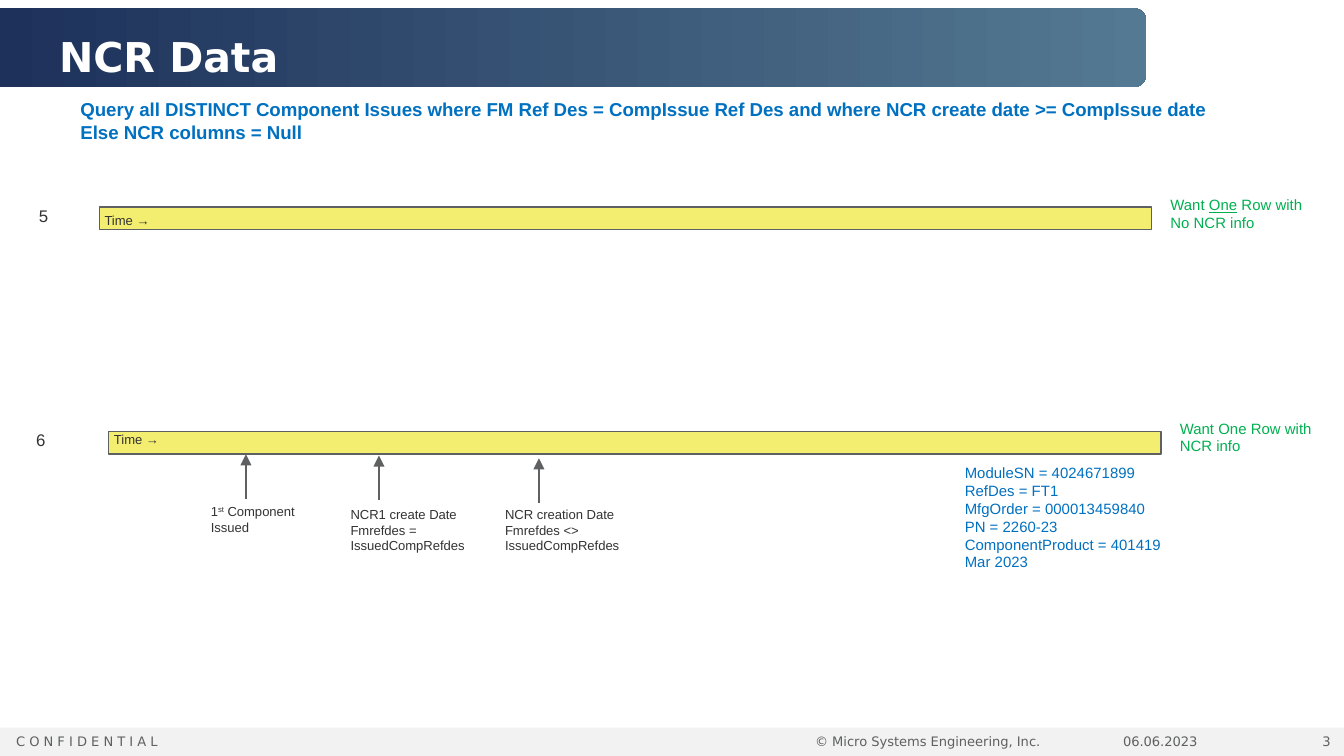
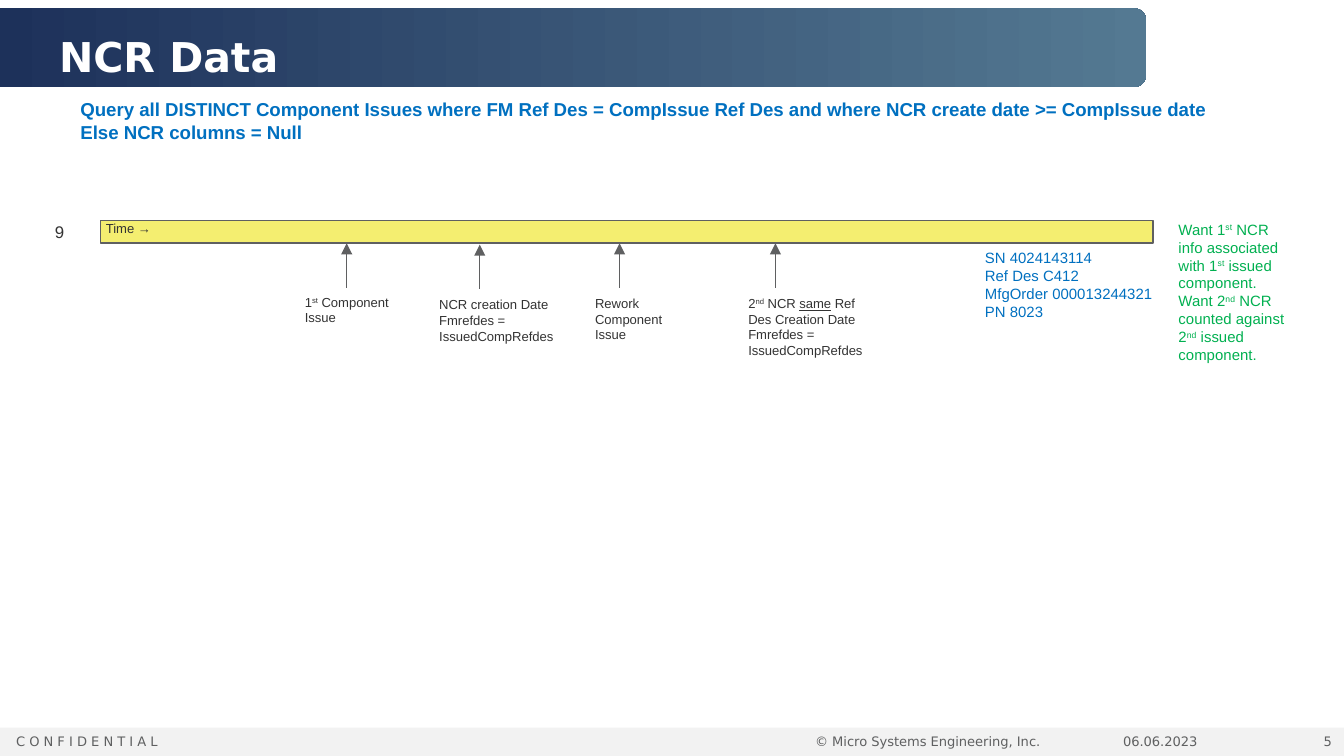
from lxml.etree import SubElement
from pptx import Presentation
from pptx.dml.color import RGBColor
from pptx.enum.shapes import MSO_CONNECTOR, MSO_SHAPE
from pptx.enum.text import MSO_ANCHOR, MSO_AUTO_SIZE, PP_ALIGN
from pptx.oxml.ns import qn
from pptx.util import Inches, Pt

NAVY = RGBColor(0x1D, 0x31, 0x5A)
TEAL = RGBColor(0x54, 0x79, 0x92)
PALE = RGBColor(0xF2, 0xF2, 0xF2)
WHITE = RGBColor(0xFF, 0xFF, 0xFF)
YELLOW = RGBColor(0xF4, 0xEE, 0x70)
GREY = RGBColor(0x5F, 0x60, 0x61)
DARK = RGBColor(0x33, 0x33, 0x33)
GREEN = RGBColor(0x00, 0xB0, 0x50)
BLUE = RGBColor(0x00, 0x70, 0xC0)

STYLES = {
    "title": (WHITE, {"name": "DejaVu Sans", "size": Pt(22), "bold": True}),
    "foot": (GREY, {"name": "DejaVu Sans", "size": Pt(7)}),
    "query": (BLUE, {"name": "Arial", "size": Pt(10), "bold": True}),
    "label": (DARK, {"name": "Arial", "size": Pt(7)}),
    "num": (DARK, {"name": "Arial", "size": Pt(9)}),
    "want": (GREEN, {"name": "Arial", "size": Pt(8)}),
    "facts": (BLUE, {"name": "Arial", "size": Pt(8)}),
}

WIDE = 10
HIGH = WIDE * 9 / 16
BAR_W, BAR_H = 7.83, 0.17
FOOT_H = 0.21
FOOT_Y = HIGH - FOOT_H
BAND_W, BAND_H, BAND_Y = 8.53, 0.59, 0.06
ARROW = 0.33

TITLE = "NCR Data"
QUERY = ("Query all DISTINCT Component Issues where FM Ref Des = CompIssue Ref Des "
         "and where NCR create date >= CompIssue date\nElse NCR columns = Null")
FOOTS = [  # left, width, alignment, text
    (0.03, 5.36, PP_ALIGN.LEFT, "C O N F I D E N T I A L"),
    (5.25, 2.58, PP_ALIGN.RIGHT, "© Micro Systems Engineering, Inc."),
    (7.83, 1.17, PP_ALIGN.RIGHT, "06.06.2023"),
]

# In texts, "|" parts the runs: "^" starts a superscript, "_" an underline.
# Events: arrow x, gap under the bar, label (left, top, width, height), text.
SLIDES = [
    {"page": ("3", 9.49), "lines": [
        {"bar": (0.74, 1.54), "time": 1.53,
         "num": ("5", 0.19, 1.48),
         "want": ((8.61, 1.41, 1.24, 0.37), "Want |_One| Row with No NCR info")},
        {"bar": (0.81, 3.21), "time": 3.16,
         "num": ("6", 0.17, 3.15),
         "want": ((8.68, 3.07, 1.24, 0.37), "Want One Row with NCR info"),
         "facts": ((7.08, 3.4, 1.68, 0.91),
                   "ModuleSN = 4024671899\nRefDes = FT1\nMfgOrder = 000013459840\n"
                   "PN = 2260-23\nComponentProduct = 401419\nMar 2023"),
         "events": [
             (1.83, 0, (1.47, 3.7, 1.09, 0.34), "1|^st| Component Issued"),
             (2.82, 0.01, (2.51, 3.72, 1.42, 0.45),
              "NCR1 create Date Fmrefdes = IssuedCompRefdes"),
             (4.01, 0.03, (3.66, 3.72, 1.11, 0.45),
              "NCR creation Date\nFmrefdes <> IssuedCompRefdes"),
         ]},
    ]},
    {"page": ("5", 9.5), "lines": [
        {"bar": (0.75, 1.64), "time": 1.59,
         "num": ("9", 0.31, 1.6),
         "want": ((8.67, 1.59, 0.99, 1.31),
                  "Want 1|^st| NCR info associated with 1|^st| issued component.\n"
                  "Want 2|^nd| NCR counted against 2|^nd| issued component."),
         "facts": ((7.23, 1.8, 1.47, 0.64),
                   "SN 4024143114\nRef Des C412\nMfgOrder 000013244321\nPN 8023"),
         "events": [
             (2.58, 0, (2.17, 2.14, 1, 0.34), "1|^st| Component Issue"),
             (3.57, 0.01, (3.17, 2.16, 1.06, 0.45),
              "NCR creation Date\nFmrefdes = IssuedCompRefdes"),
             (4.61, 0, (4.33, 2.15, 0.83, 0.45), "Rework Component Issue"),
             (5.77, 0, (5.47, 2.15, 1.17, 0.69),
              "2|^nd| NCR |_same| Ref Des Creation Date\n"
              "Fmrefdes = IssuedCompRefdes"),
         ]},
    ]},
]


def inch(*sizes):
    return [Inches(size) for size in sizes]


def add_runs(para, line, style):
    color, form = STYLES[style]
    for part in line.split("|"):
        run = para.add_run()
        run.text = part.lstrip("^_")
        for key, value in form.items():
            setattr(run.font, key, value)
        run.font.color.rgb = color
        if part.startswith("_"):
            run.font.underline = True
        if part.startswith("^"):
            run._r.get_or_add_rPr().set("baseline", "30000")


def add_text(slide, place, text, style, align=PP_ALIGN.LEFT, **form):
    frame = slide.shapes.add_textbox(*inch(*place)).text_frame
    form = {"word_wrap": True, "auto_size": MSO_AUTO_SIZE.SHAPE_TO_FIT_TEXT, **form}
    for key, value in form.items():
        setattr(frame, key, value)
    for i, line in enumerate(text.split("\n")):
        para = frame.add_paragraph() if i else frame.paragraphs[0]
        para.alignment = align
        add_runs(para, line, style)


def add_fixed(slide, place, text, style, align=PP_ALIGN.LEFT, **form):
    """Add text with tight insets in a box that keeps its size."""
    side, end = inch(0.09, 0.04)
    add_text(slide, place, text, style, align, auto_size=MSO_AUTO_SIZE.NONE,
             margin_left=side, margin_right=side, margin_top=end,
             margin_bottom=end, **form)


def add_block(slide, kind, place, fill=None, line=None):
    block = slide.shapes.add_shape(kind, *inch(*place))
    block.shadow.inherit = False
    if fill is not None:
        block.fill.solid()
        block.fill.fore_color.rgb = fill
    if line is None:
        block.line.fill.background()
    else:
        block.line.color.rgb = line
        block.line.width = Pt(0.75)
    return block


def add_arrow(slide, x, top):
    link = slide.shapes.add_connector(
        MSO_CONNECTOR.STRAIGHT, *inch(x, top + ARROW, x, top))
    link.line.color.rgb = GREY
    link.line.width = Pt(0.75)
    props = link._element.spPr
    SubElement(props.find(qn("a:ln")), qn("a:tailEnd"), type="triangle")
    SubElement(props, qn("a:effectLst"))


def add_frame(slide, page, left):
    """Add the footer, the title band and the query."""
    add_block(slide, MSO_SHAPE.RECTANGLE, (0, FOOT_Y, WIDE, FOOT_H), PALE)
    for x, width, align, text in FOOTS + [(left, 0.5, PP_ALIGN.RIGHT, page)]:
        add_fixed(slide, (x, FOOT_Y, width, 0.19), text, "foot", align)

    # The band stands upright and is turned, so its round end faces right.
    shift = (BAND_W - BAND_H) / 2
    band = add_block(slide, MSO_SHAPE.ROUND_2_SAME_RECTANGLE,
                     (shift, BAND_Y - shift, BAND_H, BAND_W))
    band.rotation = 90
    band.fill.gradient()
    band.fill.gradient_angle = 90
    for stop, color in zip(band.fill.gradient_stops, (NAVY, TEAL)):
        stop.color.rgb = color

    add_fixed(slide, (0.35, 0.21, 8.06, 0.41), TITLE, "title",
              vertical_anchor=MSO_ANCHOR.MIDDLE)
    add_text(slide, (0.5, 0.68, 8.62, 0.44), QUERY, "query", word_wrap=False)


def add_line(slide, line):
    """Add one time line with its number, notes and events."""
    left, top = line["bar"]
    add_block(slide, MSO_SHAPE.RECTANGLE, (left, top, BAR_W, BAR_H), YELLOW, GREY)
    add_text(slide, (left - 0.06, line["time"], 0.83, 0.22), "Time →", "label")
    num, x, y = line["num"]
    add_text(slide, (x, y, 0.22, 0.25), num, "num")
    add_text(slide, *line["want"], "want")
    if "facts" in line:
        add_text(slide, *line["facts"], "facts", word_wrap=False)
    for x, gap, place, text in line.get("events", []):
        add_arrow(slide, x, top + BAR_H + gap)
        add_text(slide, place, text, "label")


def main():
    deck = Presentation()
    deck.slide_width, deck.slide_height = inch(WIDE, HIGH)
    for data in SLIDES:
        slide = deck.slides.add_slide(deck.slide_layouts[6])
        add_frame(slide, *data["page"])
        for line in data["lines"]:
            add_line(slide, line)
    deck.save("out.pptx")


if __name__ == "__main__":
    main()
